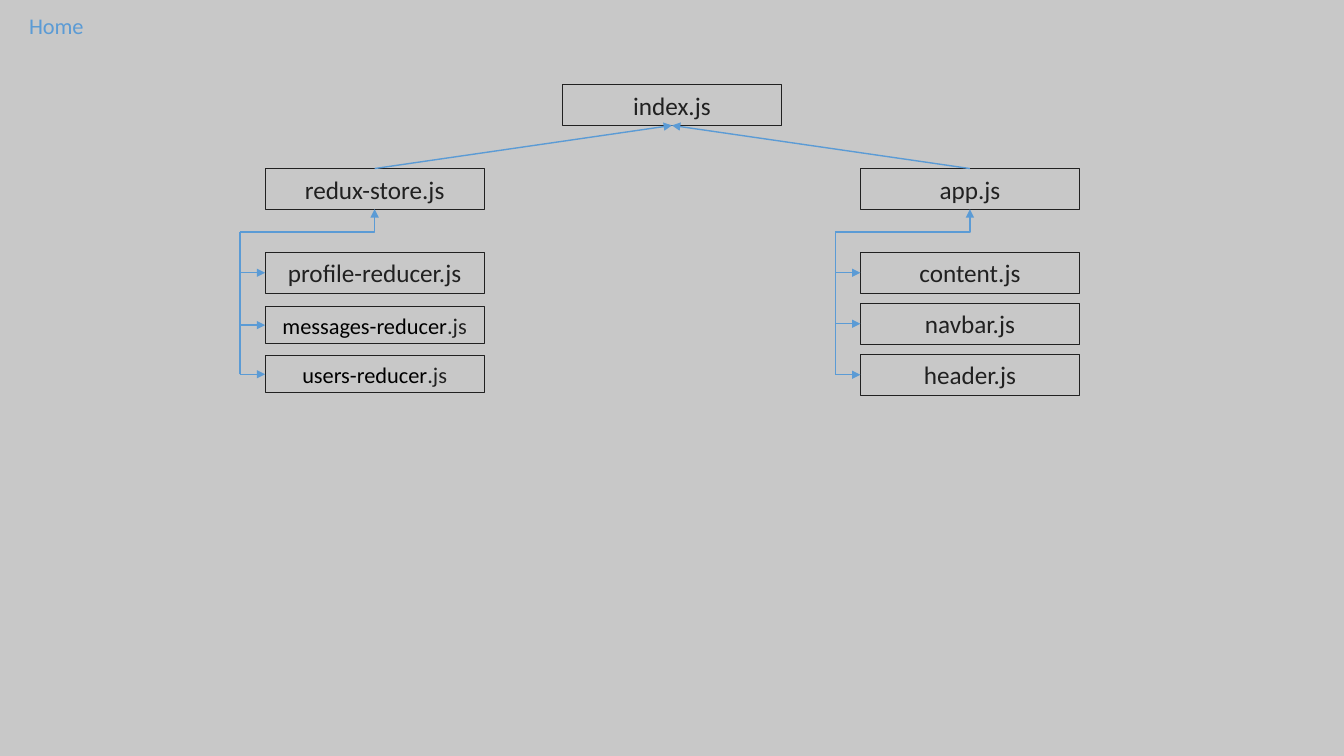
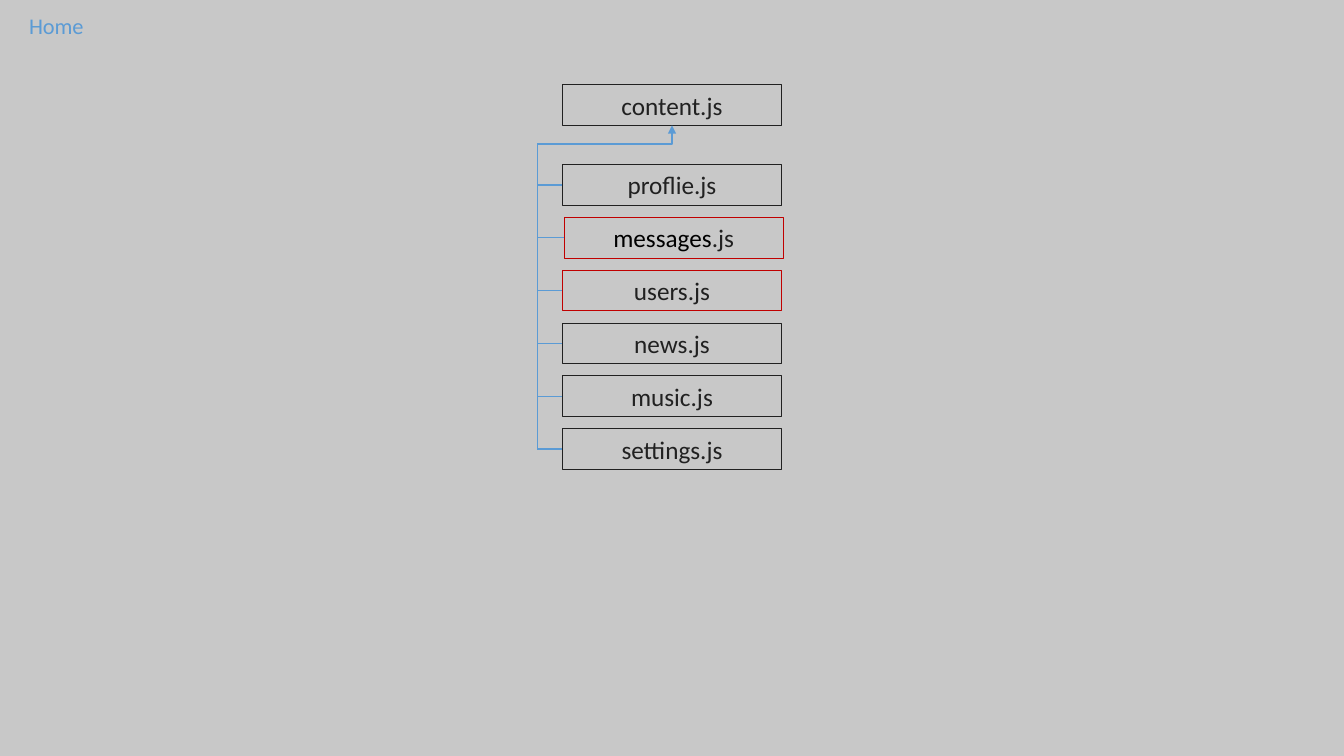
from dataclasses import dataclass
from lxml.etree import SubElement
from pptx import Presentation
from pptx.dml.color import RGBColor
from pptx.enum.shapes import MSO_CONNECTOR, MSO_SHAPE
from pptx.enum.text import MSO_ANCHOR, MSO_AUTO_SIZE, PP_ALIGN
from pptx.oxml.ns import qn
from pptx.util import Pt


@dataclass(frozen=True)
class Theme:
    font: str = "Calibri"
    background: RGBColor = RGBColor(0xC8, 0xC8, 0xC8)
    ink: RGBColor = RGBColor(0x21, 0x21, 0x21)
    black: RGBColor = RGBColor(0, 0, 0)
    accent: RGBColor = RGBColor(0x5B, 0x9B, 0xD5)
    alert: RGBColor = RGBColor(0xC0, 0, 0)
    large: int = 18
    small: int = 16
    outline: float = 0.75
    link: float = 1


THEME = Theme()


@dataclass(frozen=True)
class File:
    """A file box; a stem is set in black ahead of its extension."""
    name: str
    top: float
    stem: str = ""
    size: int = THEME.large
    outline: RGBColor = THEME.ink
    shift: float = 0


@dataclass(frozen=True)
class Branch:
    center: float
    parent: File
    children: list
    drop: float  # from the parent box down to the rail
    arrows: bool = True


# Content
HOME = "Home"
FIRST_TOP, SECOND_TOP = 60.5, 120.4
CENTER, STORE_CENTER, APP_CENTER = 480, 267.6, 692.8


def stacked(names, top, pitch):
    return [File(name, top + row * pitch) for row, name in enumerate(names)]


ROOT = File("index.js", FIRST_TOP)
STORE = Branch(STORE_CENTER, File("redux-store.js", SECOND_TOP), [
    File("profile-reducer.js", 180.3),
    File(".js", 218.9, "messages-reducer", THEME.small),
    File(".js", 254, "users-reducer", THEME.small),
], drop=16.2)
APP = Branch(APP_CENTER, File("app.js", SECOND_TOP),
             stacked(["content.js", "navbar.js", "header.js"], 180.3, 36.4),
             drop=16.2)

PAGES_TOP, PAGES_PITCH = 117.5, 37.75
PAGES = stacked(["proflie.js", "messages.js", "users.js", "news.js",
                 "music.js", "settings.js"], PAGES_TOP, PAGES_PITCH)
PAGES[1] = File(".js", PAGES[1].top, "messages", outline=THEME.alert, shift=1.2)
PAGES[2] = File("users.js", PAGES[2].top, outline=THEME.alert)
CONTENT = Branch(CENTER, File("content.js", FIRST_TOP), PAGES,
                 drop=13.2, arrows=False)

# Geometry
SLIDE_SIZE = (960, 540)
BOX_WIDTH = 156.4
BOX_HEIGHT = {THEME.large: 29.1, THEME.small: 26.7}
RAIL_GAP = 18
TOP_SITE, LEFT_SITE, BOTTOM_SITE = 0, 1, 2


def write(shape, parts, size):
    """Write centred text from (text, colour) parts."""
    frame = shape.text_frame
    frame.word_wrap = True
    frame.auto_size = MSO_AUTO_SIZE.SHAPE_TO_FIT_TEXT
    frame.vertical_anchor = MSO_ANCHOR.MIDDLE
    paragraph = frame.paragraphs[0]
    paragraph.alignment = PP_ALIGN.CENTER
    for text, color in parts:
        run = paragraph.add_run()
        run.text = text
        run.font.name = THEME.font
        run.font.size = Pt(size)
        run.font.color.rgb = color


def add_file(slide, file, center):
    box = slide.shapes.add_shape(
        MSO_SHAPE.RECTANGLE, Pt(center - BOX_WIDTH / 2 + file.shift),
        Pt(file.top), Pt(BOX_WIDTH), Pt(BOX_HEIGHT[file.size]))
    box.shadow.inherit = False
    box.fill.background()
    box.line.color.rgb = file.outline
    box.line.width = Pt(THEME.outline)
    parts = [(file.stem, THEME.black)] if file.stem else []
    write(box, parts + [(file.name, THEME.ink)], file.size)
    return box


def add_link(slide, start, end, arrow=False, bent=False):
    """Draw a line between two (x, y) points, optionally with one bend."""
    kind = MSO_CONNECTOR.ELBOW if bent else MSO_CONNECTOR.STRAIGHT
    link = slide.shapes.add_connector(kind, *map(Pt, start + end))
    link.line.color.rgb = THEME.accent
    link.line.width = Pt(THEME.link)
    properties = link._element.spPr
    if bent:
        properties.find(qn("a:prstGeom")).set("prst", "bentConnector2")
    if arrow:
        SubElement(properties.find(qn("a:ln")), qn("a:tailEnd"), type="triangle")
    SubElement(properties, qn("a:effectLst"))
    return link


def add_branch(slide, branch):
    """Draw a parent, its children and the rail that joins them."""
    parent = add_file(slide, branch.parent, branch.center)
    left = branch.center - BOX_WIDTH / 2
    rail = left - RAIL_GAP
    parent_bottom = branch.parent.top + BOX_HEIGHT[branch.parent.size]
    rail_top = parent_bottom + branch.drop
    for child in branch.children:
        box = add_file(slide, child, branch.center)
        middle = child.top + BOX_HEIGHT[child.size] / 2
        tick = add_link(slide, (rail, middle), (left, middle), branch.arrows)
        tick.end_connect(box, LEFT_SITE)
    add_link(slide, (rail, middle), (rail, rail_top))
    add_link(slide, (rail, rail_top), (branch.center, parent_bottom),
             arrow=True, bent=True)
    return parent


def add_slide(deck):
    slide = deck.slides.add_slide(deck.slide_layouts[6])
    home = slide.shapes.add_textbox(Pt(5), Pt(5), Pt(70.5), Pt(26.7))
    write(home, [(HOME, THEME.accent)], THEME.small)
    return slide


def main():
    deck = Presentation()
    deck.slide_width, deck.slide_height = map(Pt, SLIDE_SIZE)
    fill = deck.slide_master.background.fill
    fill.solid()
    fill.fore_color.rgb = THEME.background

    # Application entry
    entry = add_slide(deck)
    root = add_file(entry, ROOT, CENTER)
    for branch in (STORE, APP):
        parent = add_branch(entry, branch)
        link = add_link(entry, (branch.center, SECOND_TOP),
                        (CENTER, FIRST_TOP + BOX_HEIGHT[ROOT.size]), arrow=True)
        link.begin_connect(parent, TOP_SITE)
        link.end_connect(root, BOTTOM_SITE)

    # Content pages
    add_branch(add_slide(deck), CONTENT)
    deck.save("out.pptx")


if __name__ == "__main__":
    main()
